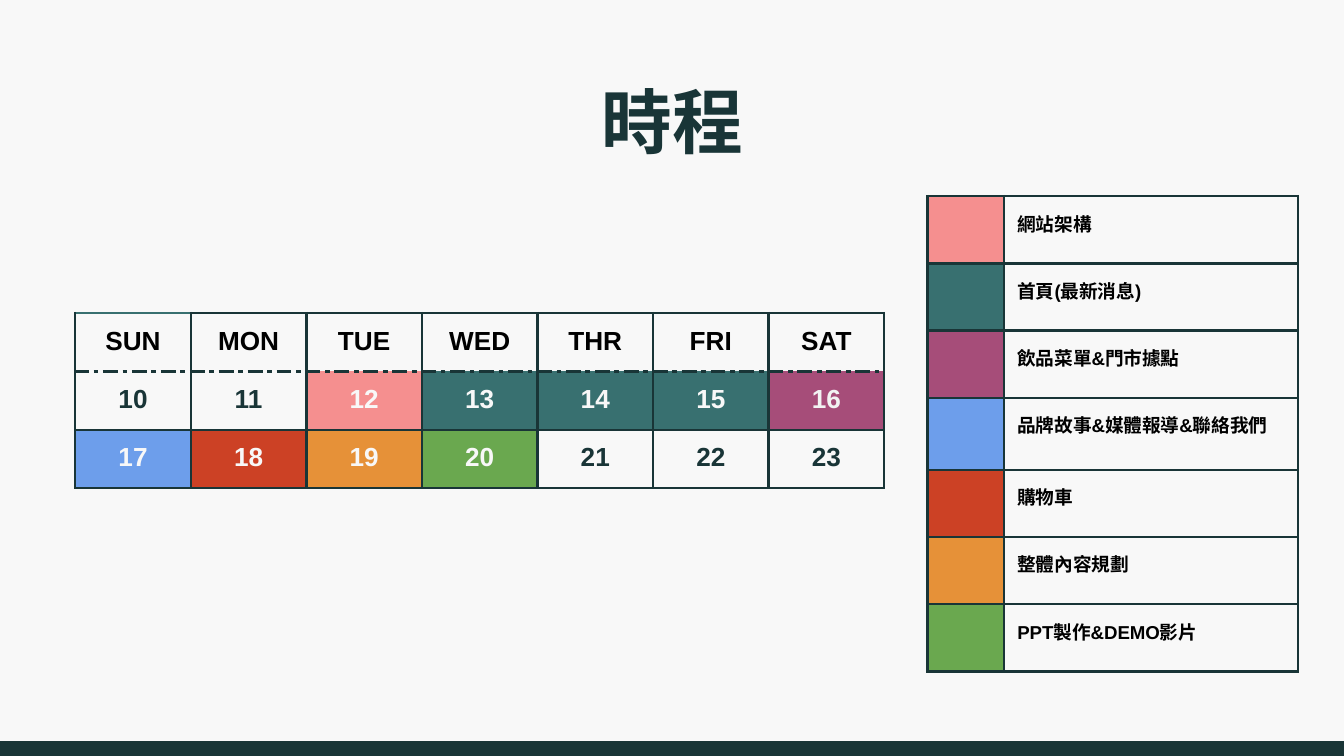
from dataclasses import dataclass
from lxml.etree import SubElement
from pptx import Presentation
from pptx.dml.color import RGBColor
from pptx.enum.shapes import MSO_SHAPE as Shape
from pptx.enum.text import MSO_ANCHOR as Anchor, PP_ALIGN as Align
from pptx.oxml.ns import qn
from pptx.util import Inches, Pt


@dataclass(frozen=True)
class Theme:
    paper: str = "F8F8F8"
    ink: str = "193537"
    black: str = "000000"
    teal: str = "387070"
    heading_font: str = "Lato"
    body_font: str = "Arial"
    title_size: float = 37.8
    calendar_size: float = 14
    legend_size: float = 10
    rule: float = 1.5
    inset: float = 0.1


@dataclass(frozen=True)
class Stage:
    label: str
    color: str
    days: tuple
    day_ink: str = "F8F8F8"


THEME = Theme()
WIDTH = 10
HEIGHT = WIDTH * 9 / 16
BAR_HEIGHT = 0.11
WEEKDAYS = ["SUN", "MON", "TUE", "WED", "THR", "FRI", "SAT"]
FIRST_DAY, WEEKS = 10, 2
STAGES = [
    Stage("網站架構", "F58F8F", (12,)),
    Stage("首頁(最新消息)", THEME.teal, (13, 14, 15)),
    Stage("飲品菜單&門市據點", "A64D79", (16,), "F2F2F2"),
    Stage("品牌故事&媒體報導&聯絡我們", "6D9EEB", (17,)),
    Stage("購物車", "CC4125", (18,)),
    Stage("整體內容規劃", "E69138", (19,)),
    Stage("PPT製作&DEMO影片", "6AA84F", (20,)),
]


def rgb(color):
    return RGBColor.from_string(color)


def write(frame, text, size, color, font, align):
    paragraph = frame.paragraphs[0]
    paragraph.alignment = align
    run = paragraph.add_run()
    run.text = text
    style = {"size": Pt(size), "name": font, "bold": True}
    for attribute, value in style.items():
        setattr(run.font, attribute, value)
    run.font.color.rgb = rgb(color)


def set_insets(target):
    for side in ("left", "right", "top", "bottom"):
        setattr(target, f"margin_{side}", Inches(THEME.inset))


def style_cell(cell, fill=None, dashed="", top_color=THEME.ink):
    properties = cell._tc.get_or_add_tcPr()
    for side in "LRTB":
        line = SubElement(properties, qn(f"a:ln{side}"), w=str(Pt(THEME.rule)))
        color = top_color if side == "T" else THEME.ink
        SubElement(SubElement(line, qn("a:solidFill")), qn("a:srgbClr"), val=color)
        dash = "lgDashDot" if side == dashed else "solid"
        SubElement(line, qn("a:prstDash"), val=dash)
    if fill:
        cell.fill.solid()
        cell.fill.fore_color.rgb = rgb(fill)
    else:
        cell.fill.background()
    set_insets(cell)


def add_grid(slide, left, top, column_widths, row_height, rows):
    table = slide.shapes.add_table(
        rows, len(column_widths), Inches(left), Inches(top),
        Inches(sum(column_widths)), Inches(row_height * rows)).table
    table.first_row = table.horz_banding = False
    for column, width in zip(table.columns, column_widths):
        column.width = Inches(width)
    for row in table.rows:
        row.height = Inches(row_height)
    return table


def add_title(slide, left, top, width, height):
    title = slide.shapes.add_textbox(
        Inches(left), Inches(top), Inches(width), Inches(height)).text_frame
    title.word_wrap = True
    title.vertical_anchor = Anchor.BOTTOM
    set_insets(title)
    write(title, "時程", THEME.title_size, THEME.ink, THEME.heading_font, Align.CENTER)


def add_calendar(slide, left, top, width, height):
    days = len(WEEKDAYS)
    rows = WEEKS + 1
    calendar = add_grid(slide, left, top, [width / days] * days, height / rows, rows)
    stage_of = {day: stage for stage in STAGES for day in stage.days}
    for column, weekday in enumerate(WEEKDAYS):
        header = calendar.cell(0, column)
        style_cell(header, dashed="B", top_color=THEME.ink if column else THEME.teal)
        write(header.text_frame, weekday, THEME.calendar_size, THEME.black,
              THEME.body_font, Align.CENTER)
        for week in range(WEEKS):
            date = FIRST_DAY + week * days + column
            stage = stage_of.get(date)
            cell = calendar.cell(week + 1, column)
            style_cell(cell, stage.color if stage else None, "" if week else "T")
            write(cell.text_frame, str(date), THEME.calendar_size,
                  stage.day_ink if stage else THEME.ink, THEME.body_font, Align.CENTER)


def add_legend(slide, left, top, width, row_height, swatch_width=0.57):
    legend = add_grid(slide, left, top, [swatch_width, width - swatch_width],
                      row_height, len(STAGES))
    for row, stage in enumerate(STAGES):
        swatch, label = legend.cell(row, 0), legend.cell(row, 1)
        style_cell(swatch, stage.color)
        style_cell(label)
        write(label.text_frame, stage.label, THEME.legend_size, THEME.black,
              THEME.body_font, Align.LEFT)


def add_bottom_bar(slide, left, top, width, height):
    bar = slide.shapes.add_shape(
        Shape.RECTANGLE, Inches(left), Inches(top), Inches(width), Inches(height))
    bar.shadow.inherit = False
    bar.fill.solid()
    bar.fill.fore_color.rgb = rgb(THEME.ink)
    bar.line.fill.background()


def main():
    deck = Presentation()
    deck.slide_width, deck.slide_height = Inches(WIDTH), Inches(HEIGHT)
    slide = deck.slides.add_slide(deck.slide_layouts[6])
    slide.background.fill.solid()
    slide.background.fill.fore_color.rgb = rgb(THEME.paper)
    add_bottom_bar(slide, 0, HEIGHT - BAR_HEIGHT, WIDTH, BAR_HEIGHT)
    add_title(slide, 0.34, 0.44, 9.32, 0.87)
    add_calendar(slide, 0.56, 2.33, 6.02, 0.99)
    add_legend(slide, 6.9, 1.46, 2.76, 0.42)
    deck.save("out.pptx")


if __name__ == "__main__":
    main()
